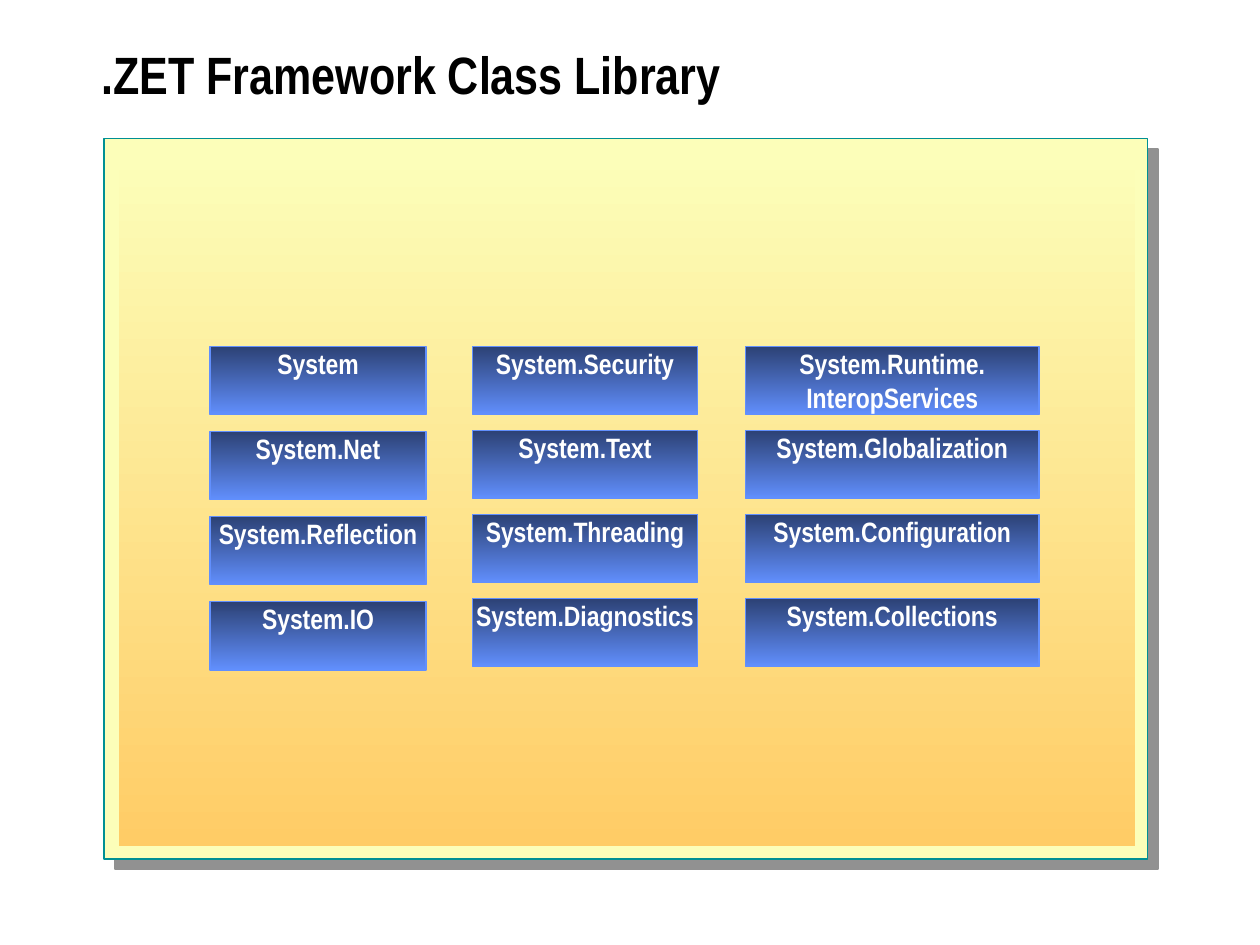
from dataclasses import dataclass

from lxml.etree import SubElement
from pptx import Presentation
from pptx.dml.color import RGBColor
from pptx.enum.shapes import MSO_SHAPE as Preset
from pptx.enum.text import MSO_ANCHOR as Anchor, MSO_AUTO_SIZE as AutoSize, PP_ALIGN as Align
from pptx.oxml.ns import qn
from pptx.util import Pt

BLACK = RGBColor(0x00, 0x00, 0x00)
WHITE = RGBColor(0xFF, 0xFF, 0xFF)
CREAM = RGBColor(0xFC, 0xFE, 0xB9)
ORANGE = RGBColor(0xFF, 0xCC, 0x66)
TEAL = RGBColor(0x00, 0x90, 0x94)
NAVY = RGBColor(0x2C, 0x41, 0x74)
BLUE = RGBColor(0x61, 0x8F, 0xFD)
GRAY = RGBColor(0x91, 0x91, 0x91)

FONT = "Arial Narrow"
GRID_TOP, BOX_HEIGHT = 198, 38.9


@dataclass
class Column:
    left: float
    width: float
    pitch: float
    names: tuple[str, ...]


COLUMNS = (
    Column(120.2, 123.1, 48.6,
           ("System", "System.Net", "System.Reflection", "System.IO")),
    Column(270, 128.7, 48,
           ("System.Security", "System.Text", "System.Threading", "System.Diagnostics")),
    Column(426, 167.8, 48,
           ("System.Runtime.\nInteropServices", "System.Globalization",
            "System.Configuration", "System.Collections")),
)


def set_all(target, values: dict) -> None:
    for name, value in values.items():
        setattr(target, name, value)


def format_font(font, size: float, color: RGBColor) -> None:
    set_all(font, {"name": FONT, "size": Pt(size), "bold": True})
    font.color.rgb = color


def add_rect(page, left: float, top: float, width: float, height: float,
             line: RGBColor | None = None):
    rect = page.shapes.add_shape(
        Preset.RECTANGLE, Pt(left), Pt(top), Pt(width), Pt(height))
    rect.shadow.inherit = False
    if line is None:
        rect.line.fill.background()
    else:
        rect.line.color.rgb = line
        rect.line.width = Pt(1)
    return rect


def fill_downward(rect, top_color: RGBColor, bottom_color: RGBColor) -> None:
    rect.fill.gradient()
    rect.fill.gradient_angle = 270
    for stop, color in zip(rect.fill.gradient_stops, (top_color, bottom_color)):
        stop.color.rgb = color


def add_drop_shadow(rect, color: RGBColor, distance: float, degrees: int) -> None:
    effects = rect._element.spPr.find(qn("a:effectLst"))
    shadow = SubElement(effects, qn("a:outerShdw"), dist=str(Pt(distance)),
                        dir=str(degrees * 60000), algn="ctr", rotWithShape="0")
    SubElement(shadow, qn("a:srgbClr"), val=str(color))


def add_namespace_box(page, column: Column, row: int) -> None:
    box = add_rect(page, column.left, GRID_TOP + row * column.pitch,
                   column.width, BOX_HEIGHT, BLUE)
    fill_downward(box, NAVY, BLUE)
    frame = box.text_frame
    set_all(frame, {"margin_left": Pt(7.2), "margin_right": Pt(7.2),
                    "margin_top": 0, "margin_bottom": 0,
                    "word_wrap": False, "vertical_anchor": Anchor.TOP})
    frame.text = column.names[row]
    for para in frame.paragraphs:
        para.alignment = Align.CENTER
        for span in para.runs:
            format_font(span.font, 16, WHITE)


def main() -> None:
    deck = Presentation()
    set_all(deck, {"slide_width": Pt(720), "slide_height": Pt(540)})
    page = deck.slides.add_slide(deck.slide_layouts[5])

    # Title
    title = page.shapes.title
    set_all(title, {"left": Pt(50.8), "top": Pt(12.2),
                    "width": Pt(645.1), "height": Pt(66.2)})
    set_all(title.text_frame, {"text": ".ZET Framework Class Library",
                               "auto_size": AutoSize.NONE, "word_wrap": True,
                               "vertical_anchor": Anchor.MIDDLE})
    para = title.text_frame.paragraphs[0]
    set_all(para, {"alignment": Align.LEFT, "line_spacing": 0.8})
    format_font(para.runs[0].font, 30, BLACK)

    # Framed panel with its gradient area
    panel = add_rect(page, 59.5, 79.2, 596.2, 411.6, TEAL)
    panel.fill.solid()
    panel.fill.fore_color.rgb = CREAM
    add_drop_shadow(panel, GRAY, 8.5, 45)
    fill_downward(add_rect(page, 68, 87.8, 580.7, 395.7), CREAM, ORANGE)

    # Namespace boxes
    for column in COLUMNS:
        for row in range(len(column.names)):
            add_namespace_box(page, column, row)

    deck.save("out.pptx")


if __name__ == "__main__":
    main()
